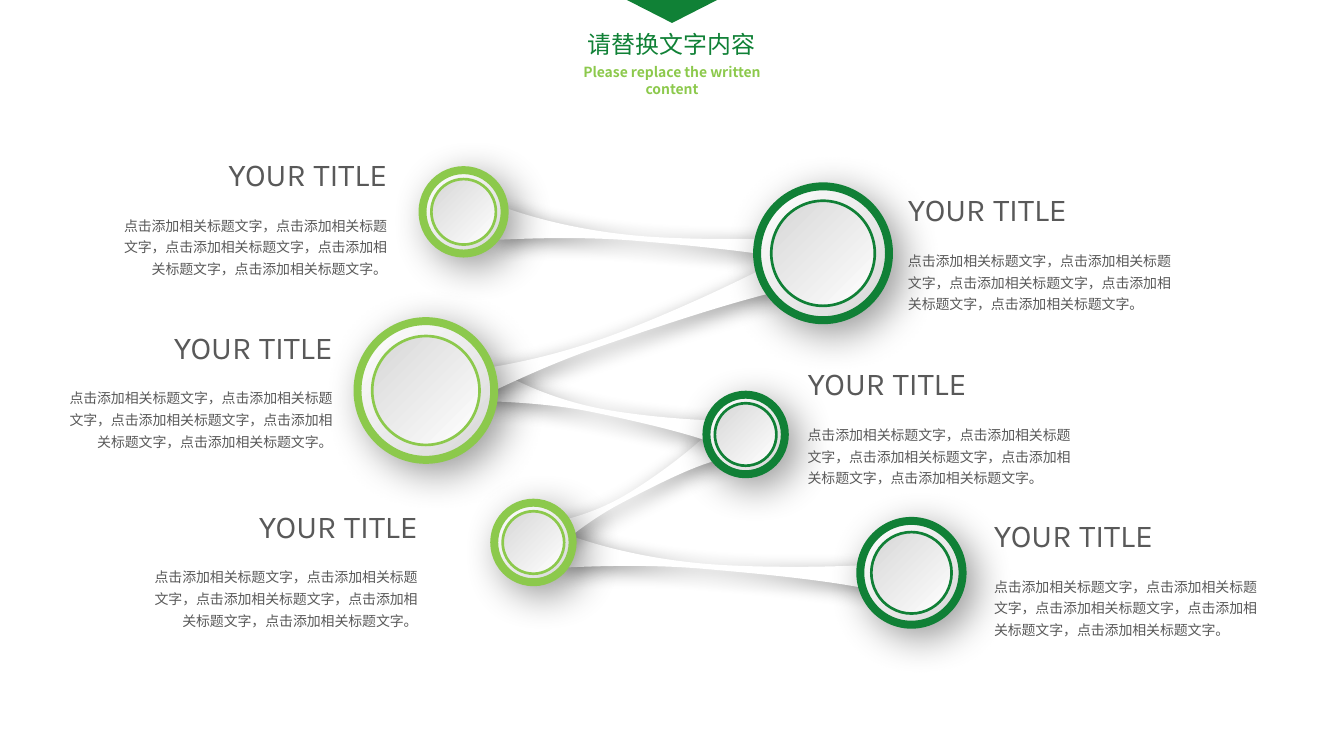
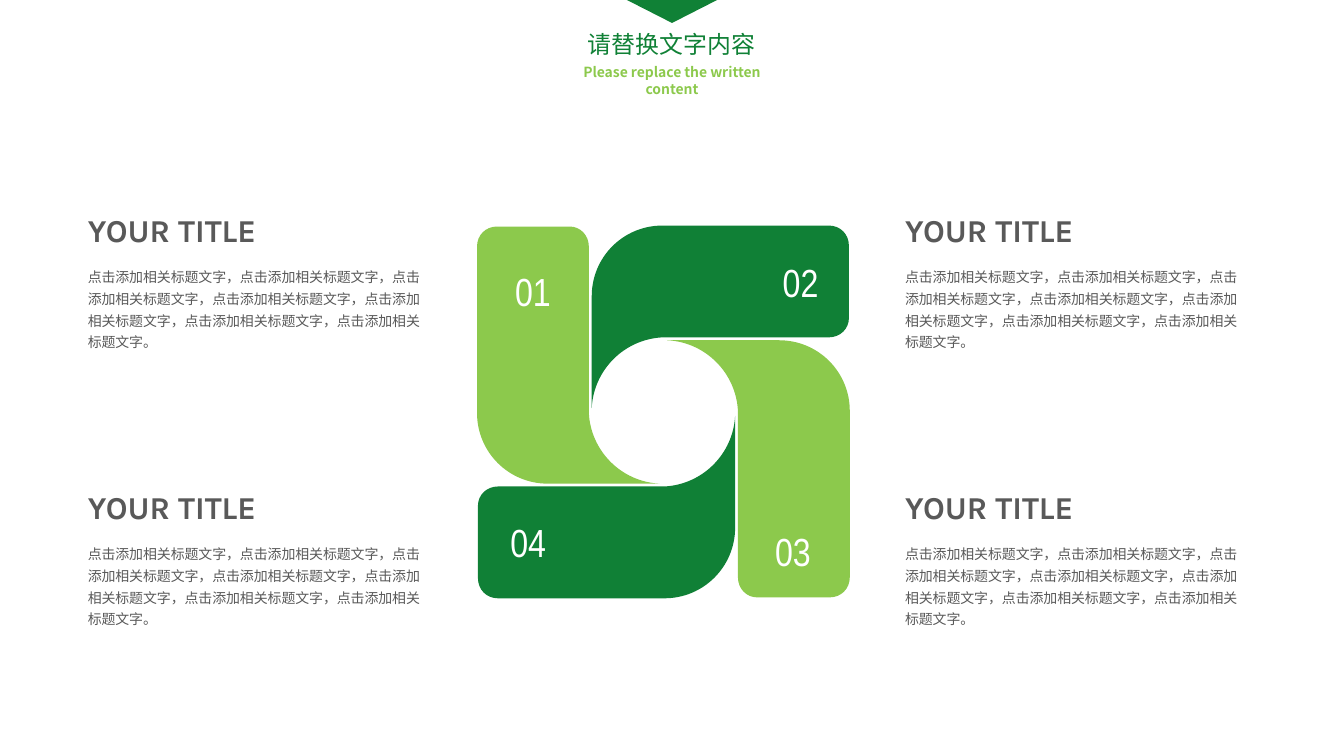
from dataclasses import dataclass
from typing import NamedTuple

from lxml.etree import SubElement
from pptx import Presentation
from pptx.dml.color import RGBColor
from pptx.enum.shapes import MSO_SHAPE as Preset
from pptx.enum.text import MSO_AUTO_SIZE as AutoSize, PP_ALIGN as Align
from pptx.oxml.ns import qn
from pptx.shapes.autoshape import Shape
from pptx.slide import Slide
from pptx.util import Inches, Pt

Point = tuple[float, float]
# A segment of one point is a straight line, one of three points a Bézier curve.
Segment = tuple[Point, ...]


@dataclass(frozen=True)
class Theme:
    title_green: str = "108136"
    dark_green: str = "108036"
    light_green: str = "8CC94C"
    grey: str = "595959"
    silver: str = "D7D7D7"
    white: str = "FFFFFF"
    cjk_font: str = "Noto Sans CJK SC"
    heading_font: str = "Karla"
    number_font: str = "Arial Narrow"
    title_size: float = 18
    heading_size: float = 24
    body_size: float = 10.5
    number_size: float = 29.5


THEME = Theme()
HEADING = "YOUR TITLE"
PHRASE = "点击添加相关标题文字"


class Ribbon(NamedTuple):
    left: float
    top: float
    width: float
    height: float
    rotation: float


class Medallion(NamedTuple):
    left: float
    top: float
    width: float
    color: str


class Caption(NamedTuple):
    left: float
    top: float
    align: Align = Align.LEFT


@dataclass(frozen=True)
class CaptionStyle:
    phrases: int
    heading_width: float
    body_width: float
    body_height: float
    body_drop: float
    bold: bool


class Number(NamedTuple):
    text: str
    left: float
    top: float
    width: float


# Outline of a ribbon in a unit square
RIBBON_START: Point = (0, 0)
RIBBON_OUTLINE: list[Segment] = [
    ((0.11, 0.3), (0.26, 0.53), (0.43, 0.53)),
    ((0.59, 0.53), (0.89, 0.26), (1, 0)),
    ((1, 1),),
    ((0.9, 0.7), (0.58, 0.68), (0.42, 0.68)),
    ((0.25, 0.68), (0.08, 0.9), (0, 1)),
]
RIBBONS = [
    Ribbon(5.88, 5.73, 3.5, 0.36, 4.9),
    Ribbon(5.53, 4.97, 2.12, 0.35, 331.9),
    Ribbon(5.11, 4.12, 2.63, 0.35, 11.8),
    Ribbon(5.2, 2.3, 3.5, 0.36, 4.9),
    Ribbon(4.46, 3.21, 4.2, 0.46, 340.9),
]
MEDALLIONS = [
    Medallion(4.42, 1.78, 0.86, THEME.light_green),
    Medallion(7.92, 1.95, 1.38, THEME.dark_green),
    Medallion(3.74, 3.36, 1.43, THEME.light_green),
    Medallion(7.39, 4.13, 0.82, THEME.dark_green),
    Medallion(5.17, 5.26, 0.82, THEME.light_green),
    Medallion(9, 5.45, 1.07, THEME.dark_green),
]
MEDALLION_ASPECT = 1.015
INNER_RATIO = 0.785
NETWORK_STYLE = CaptionStyle(5, 2.66, 3.05, 0.8, 0.6, False)
NETWORK_CAPTIONS = [
    Caption(10.3, 5.35),
    Caption(1.42, 5.25, Align.RIGHT),
    Caption(8.35, 3.76),
    Caption(0.53, 3.38, Align.RIGHT),
    Caption(9.4, 1.94),
    Caption(1.1, 1.57, Align.RIGHT),
]

# Outline of the right petal, measured from the centre of the wheel
WHEEL_CENTRE: Point = (6.94, 4.31)
PETAL_START: Point = (1.95, -0.01)
PETAL_OUTLINE: list[Segment] = [
    ((1.95, 1.73),),
    ((1.95, 1.85), (1.86, 1.94), (1.74, 1.94)),
    ((0.98, 1.94),),
    ((0.87, 1.94), (0.78, 1.85), (0.78, 1.73)),
    ((0.78, -0.01),),
    ((0.76, -0.41), (0.44, -0.73), (0.04, -0.75)),
    ((1.21, -0.75),),
    ((1.62, -0.75), (1.95, -0.42), (1.95, -0.01)),
]
NUMBERS = [
    Number("01", 5.29, 2.75, 0.58),
    Number("02", 8.09, 2.65, 0.63),
    Number("03", 8.01, 5.47, 0.64),
    Number("04", 5.24, 5.37, 0.63),
]
WHEEL_STYLE = CaptionStyle(7, 3.32, 3.76, 1.02, 0.56, True)
WHEEL_CAPTIONS = [Caption(left, top) for top in (2.15, 5.05) for left in (0.82, 9.37)]


def body_text(phrases: int) -> str:
    return "，".join([PHRASE] * phrases) + "。"


def paint(shape: Shape, color: str) -> None:
    shape.shadow.inherit = False
    shape.fill.solid()
    shape.fill.fore_color.rgb = RGBColor.from_string(color)
    shape.line.fill.background()


def add_shadow(shape: Shape, blur: float, distance: float) -> None:
    """Soft black shadow falling to the lower right."""
    effects = shape.element.spPr.find(qn("a:effectLst"))
    outer = SubElement(effects, qn("a:outerShdw"), blurRad=str(Pt(blur)),
                       dist=str(Pt(distance)), dir=str(45 * 60000),
                       algn="tl", rotWithShape="0")
    black = SubElement(outer, qn("a:srgbClr"), val="000000")
    SubElement(black, qn("a:alpha"), val="40000")


def add_outline(slide: Slide, start: Point, outline: list[Segment], color: str) -> Shape:
    """Draw a closed outline of straight lines and curves."""
    first, *rest = [(Inches(x), Inches(y))
                    for x, y in (start, *(point for part in outline for point in part))]
    builder = slide.shapes.build_freeform(*first)
    builder.add_line_segments(rest, close=True)
    shape = builder.convert_to_shape()
    # Join the three points of each curve into one Bézier element
    lines = iter(list(shape.element.iter(qn("a:lnTo"))))
    for segment in outline:
        group = [next(lines) for _ in segment]
        if len(group) == 1:
            continue
        parent = group[0].getparent()
        curve = SubElement(parent, qn("a:cubicBezTo"))
        group[0].addprevious(curve)
        for line in group:
            curve.append(line[0])
            parent.remove(line)
    paint(shape, color)
    return shape


def add_text(slide: Slide, text: str, left: float, top: float, width: float,
             height: float, font: str, size: float, color: str,
             align: Align = Align.LEFT, bold: bool = False,
             spacing: float = 1.0, wrap: bool = True) -> None:
    box = slide.shapes.add_textbox(Inches(left), Inches(top), Inches(width), Inches(height))
    frame = box.text_frame
    frame.word_wrap = wrap
    frame.auto_size = AutoSize.SHAPE_TO_FIT_TEXT
    paragraph = frame.paragraphs[0]
    paragraph.text = text
    paragraph.alignment = align
    paragraph.line_spacing = spacing
    paragraph.font.name = font
    paragraph.font.size = Pt(size)
    paragraph.font.bold = bold
    paragraph.font.color.rgb = RGBColor.from_string(color)
    # East Asian text takes its own typeface
    defaults = paragraph._p.pPr.find(qn("a:defRPr"))
    SubElement(defaults, qn("a:ea"), typeface=font)


def add_header(slide: Slide) -> None:
    add_text(slide, "Please replace the written content", 5.89, 0.62, 2.28, 0.28,
             THEME.cjk_font, THEME.body_size, THEME.light_green, Align.CENTER, bold=True)
    add_text(slide, "请替换文字内容", 6.04, 0.26, 1.97, 0.4,
             THEME.cjk_font, THEME.title_size, THEME.title_green, Align.CENTER, wrap=False)
    pointer = slide.shapes.add_shape(Preset.ISOSCELES_TRIANGLE, Inches(6.52),
                                     Inches(-0.02), Inches(1.02), Inches(0.26))
    pointer.rotation = 180
    paint(pointer, THEME.title_green)


def add_caption(slide: Slide, caption: Caption, style: CaptionStyle) -> None:
    left, top, align = caption
    indent = style.body_width - style.heading_width if align == Align.RIGHT else 0
    add_text(slide, HEADING, left + indent, top, style.heading_width, 0.5,
             THEME.heading_font, THEME.heading_size, THEME.grey, align, style.bold)
    add_text(slide, body_text(style.phrases), left, top + style.body_drop,
             style.body_width, style.body_height,
             THEME.cjk_font, THEME.body_size, THEME.grey, align, spacing=1.3)


def add_ribbon(slide: Slide, ribbon: Ribbon) -> None:
    def place(point: Point) -> Point:
        x, y = point
        return ribbon.left + x * ribbon.width, ribbon.top + y * ribbon.height

    outline = [tuple(map(place, segment)) for segment in RIBBON_OUTLINE]
    shape = add_outline(slide, place(RIBBON_START), outline, THEME.white)
    shape.rotation = ribbon.rotation
    add_shadow(shape, blur=15, distance=5)


def add_disc(slide: Slide, medallion: Medallion, ratio: float,
             angle: float, line_width: float) -> Shape:
    """Draw a gradient disc concentric with its medallion."""
    width, height = medallion.width, medallion.width * MEDALLION_ASPECT
    margin = (1 - ratio) / 2
    disc = slide.shapes.add_shape(
        Preset.OVAL,
        Inches(medallion.left + margin * width), Inches(medallion.top + margin * height),
        Inches(ratio * width), Inches(ratio * height))
    disc.shadow.inherit = False
    disc.fill.gradient()
    disc.fill.gradient_angle = angle
    for stop, color in zip(disc.fill.gradient_stops, (THEME.white, THEME.silver)):
        stop.color.rgb = RGBColor.from_string(color)
    disc.line.color.rgb = RGBColor.from_string(medallion.color)
    disc.line.width = Pt(line_width)
    return disc


def build_network(slide: Slide) -> None:
    for ribbon in RIBBONS:
        add_ribbon(slide, ribbon)
    for medallion in MEDALLIONS:
        rim = add_disc(slide, medallion, 1, angle=315, line_width=6)
        add_shadow(rim, blur=30, distance=10)
        add_disc(slide, medallion, INNER_RATIO, angle=135, line_width=2)
    for caption in NETWORK_CAPTIONS:
        add_caption(slide, caption, NETWORK_STYLE)
    add_header(slide)


def build_wheel(slide: Slide) -> None:
    def place(point: Point, turns: int) -> Point:
        x, y = point
        for _ in range(turns):
            x, y = y, -x
        return WHEEL_CENTRE[0] + x, WHEEL_CENTRE[1] + y

    # Each petal is the one before it after a quarter turn
    for turns, color in enumerate((THEME.light_green, THEME.dark_green) * 2):
        outline = [tuple(place(point, turns) for point in segment)
                   for segment in PETAL_OUTLINE]
        add_outline(slide, place(PETAL_START, turns), outline, color)
    for number in NUMBERS:
        add_text(slide, number.text, number.left, number.top, number.width, 0.6,
                 THEME.number_font, THEME.number_size, THEME.white, wrap=False)
    for caption in WHEEL_CAPTIONS:
        add_caption(slide, caption, WHEEL_STYLE)
    add_header(slide)


def main() -> None:
    deck = Presentation()
    deck.slide_width, deck.slide_height = Inches(14.06), Inches(7.91)
    blank = deck.slide_layouts[6]
    for build in (build_network, build_wheel):
        build(deck.slides.add_slide(blank))
    deck.save("out.pptx")


if __name__ == "__main__":
    main()
